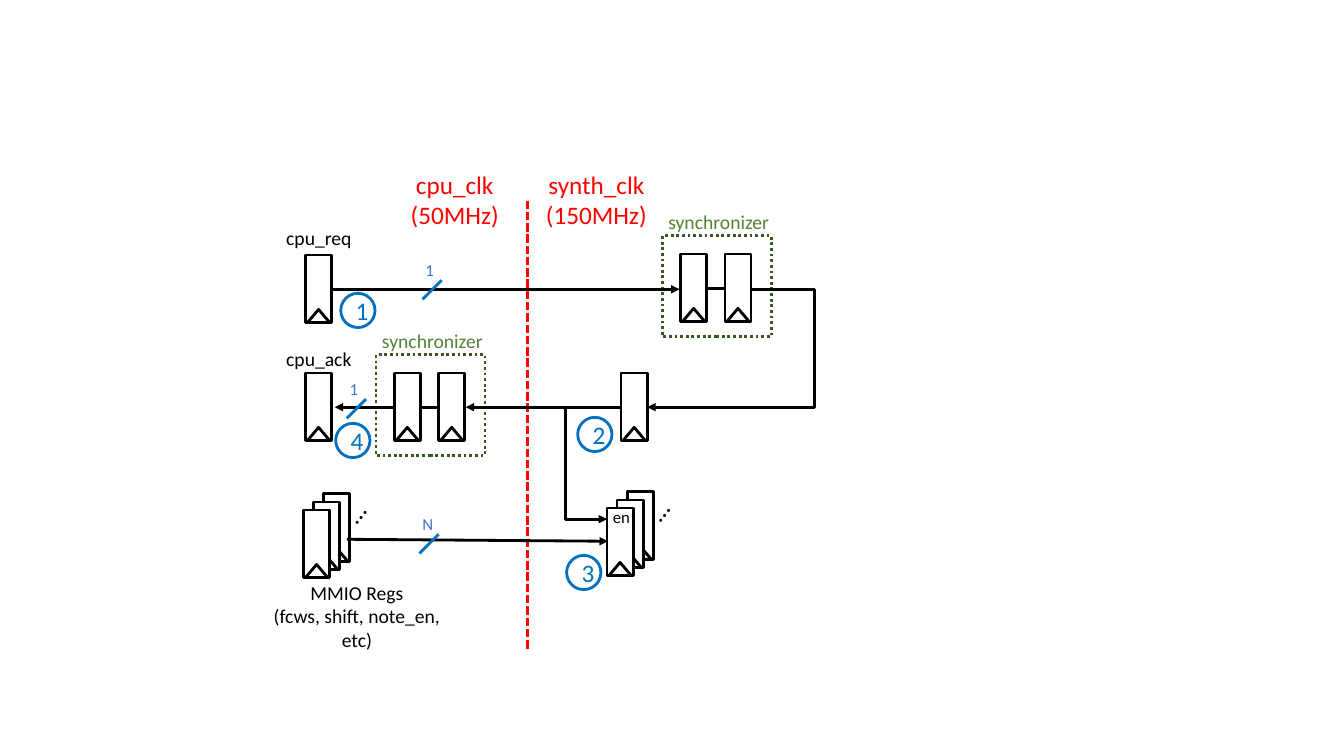
from pptx import Presentation
from pptx.dml.color import RGBColor
from pptx.enum.dml import MSO_LINE as Dash
from pptx.enum.shapes import MSO_CONNECTOR as Conn, MSO_SHAPE as Kind
from pptx.enum.text import PP_ALIGN as Align
from pptx.oxml.ns import qn
from pptx.util import Inches, Pt
from lxml.etree import SubElement

BLACK, RED, BLUE = "000000", "FF0000", "0070C0"
LABEL, GREEN, DARK = "4472C4", "548235", "385723"


def color(code):
    """Turn a hex string into a colour."""
    return RGBColor.from_string(code)


class Board:
    """Holds the style and the slide being drawn."""

    def __init__(self, slide, font="Calibri", width=2):
        """Keep the slide, font and line width."""
        self.shapes, self.font, self.width = slide.shapes, font, width

    def stroke(self, item, tint, dash=None):
        """Style the line of a shape or connector."""
        item.line.color.rgb = color(tint)
        item.line.width = Pt(self.width)
        if dash:
            item.line.dash_style = dash

    def letter(self, frame, text, size, tint, align):
        """Fill a text frame, one paragraph a line."""
        frame.text = text
        for para in frame.paragraphs:
            para.alignment = align
            para.font.name, para.font.size = self.font, Pt(size)
            para.font.color.rgb = color(tint)

    def text(self, x, y, w, h, text, size=14, tint=BLACK, align=Align.LEFT, wrap=False, turn=0):
        """Add a text box."""
        box = self.shapes.add_textbox(Inches(x), Inches(y), Inches(w), Inches(h))
        box.rotation = turn
        box.text_frame.word_wrap = wrap
        self.letter(box.text_frame, text, size, tint, align)

    def shape(self, kind, x, y, w, h, tint=BLACK, fill=None, dash=None):
        """Add an outlined preset shape."""
        item = self.shapes.add_shape(kind, Inches(x), Inches(y), Inches(w), Inches(h))
        item.shadow.inherit = False
        if fill:
            item.fill.solid()
            item.fill.fore_color.rgb = color(fill)
        else:
            item.fill.background()
        self.stroke(item, tint, dash)
        return item

    def line(self, start, end, tint=BLACK, dash=None, arrow=False, kind=Conn.STRAIGHT):
        """Add a connector, with an arrowhead if asked."""
        ends = [Inches(v) for v in (*start, *end)]
        item = self.shapes.add_connector(kind, *ends)
        self.stroke(item, tint, dash)
        props = item._element.spPr
        if arrow:
            SubElement(props.find(qn("a:ln")), qn("a:tailEnd"), type="triangle")
        SubElement(props, qn("a:effectLst"))
        return item

    def bend(self, start, end, preset="bentConnector3", adjust=None, turn=0):
        """Add an elbow arrow."""
        props = self.line(start, end, arrow=True, kind=Conn.ELBOW)._element.spPr
        geom = props.find(qn("a:prstGeom"))
        geom.set("prst", preset)
        if adjust is not None:
            SubElement(geom.find(qn("a:avLst")), qn("a:gd"), name="adj1", fmla=f"val {adjust}")
        if turn:
            props.find(qn("a:xfrm")).set("rot", str(turn * 60000))

    def register(self, x, y):
        """Add a register with its clock mark."""
        self.shape(Kind.RECTANGLE, x, y, 0.26, 0.67, fill="FFFFFF")
        self.shape(Kind.ISOSCELES_TRIANGLE, x + 0.02, y + 0.54, 0.22, 0.13)

    def stack(self, x, y):
        """Add three registers, back to front, and an ellipsis."""
        for step in range(3):
            self.register(x - 0.1 * step, y + 0.08 * step)
        self.text(x + 0.12, y - 0.02, 0.38, 0.4, "…", 18, turn=308.5)

    def sync(self, x, y):
        """Add a synchronizer of two linked registers."""
        self.shape(Kind.RECTANGLE, x, y, 1.08, 1, DARK, dash=Dash.ROUND_DOT)
        for gap in (0.18, 0.62):
            self.register(x + gap, y + 0.18)
        self.text(x - 0.04, y - 0.31, 1.2, 0.34, "synchronizer", tint=GREEN, wrap=True)
        self.line((x + 0.44, y + 0.52), (x + 0.62, y + 0.52))

    def badge(self, x, y, text):
        """Add a numbered circle."""
        item = self.shape(Kind.OVAL, x, y, 0.34, 0.34, BLUE)
        self.letter(item.text_frame, text, 18, BLUE, Align.CENTER)

    def bus(self, x, y, text):
        """Add a width label and its slash."""
        self.text(x, y, 0.3, 0.3, text, 12, LABEL)
        self.line((x + 0.26, y + 0.25), (x + 0.07, y + 0.44), BLUE)


deck = Presentation()
deck.slide_width, deck.slide_height = Inches(13.33), Inches(7.5)
board = Board(deck.slides.add_slide(deck.slide_layouts[6]))

board.line((5.23, 1.99), (5.23, 6.45), RED, Dash.SQUARE_DOT)
for x, w, name in ((3.97, 1.08, "cpu_clk\n(50MHz)"), (5.31, 1.21, "synth_clk\n(150MHz)")):
    board.text(x, 1.63, w, 0.71, name, 18, RED, Align.CENTER)

for x, y in ((3.03, 2.53), (3.03, 3.7), (6.16, 3.7)):
    board.register(x, y)
for y, name in ((2.19, "cpu_req"), (3.39, "cpu_ack")):
    board.text(2.74, y, 0.85, 0.34, name)
for x, y in ((3.21, 4.9), (6.22, 4.88)):
    board.stack(x, y)
board.text(2.45, 5.71, 2.18, 0.57, "MMIO Regs\n(fcws, shift, note_en, etc)", align=Align.CENTER, wrap=True)
board.text(5.98, 4.98, 0.37, 0.3, "en", 12)
for x, y in ((3.73, 3.52), (6.57, 2.34)):
    board.sync(x, y)

for start, end in (
    ((3.3, 2.87), (6.74, 2.87)),
    ((3.91, 4.04), (3.32, 4.04)),
    ((6.16, 4.04), (4.62, 4.04)),
    ((3.44, 5.35), (6.03, 5.37)),
):
    board.line(start, end, arrow=True)
board.bend((7.45, 2.87), (6.42, 4.04), adjust=-60800)
board.bend((6.37, 4.39), (5.26, 4.8), "bentConnector2", turn=270)

for x, y, digit in ((3.38, 2.91, "1"), (5.73, 4.14, "2"), (5.62, 5.51, "3"), (3.33, 4.2, "4")):
    board.badge(x, y, digit)
for x, y, size in ((4.12, 2.53, "1"), (3.37, 3.71, "1"), (4.09, 5.05, "N")):
    board.bus(x, y, size)

deck.save("out.pptx")
